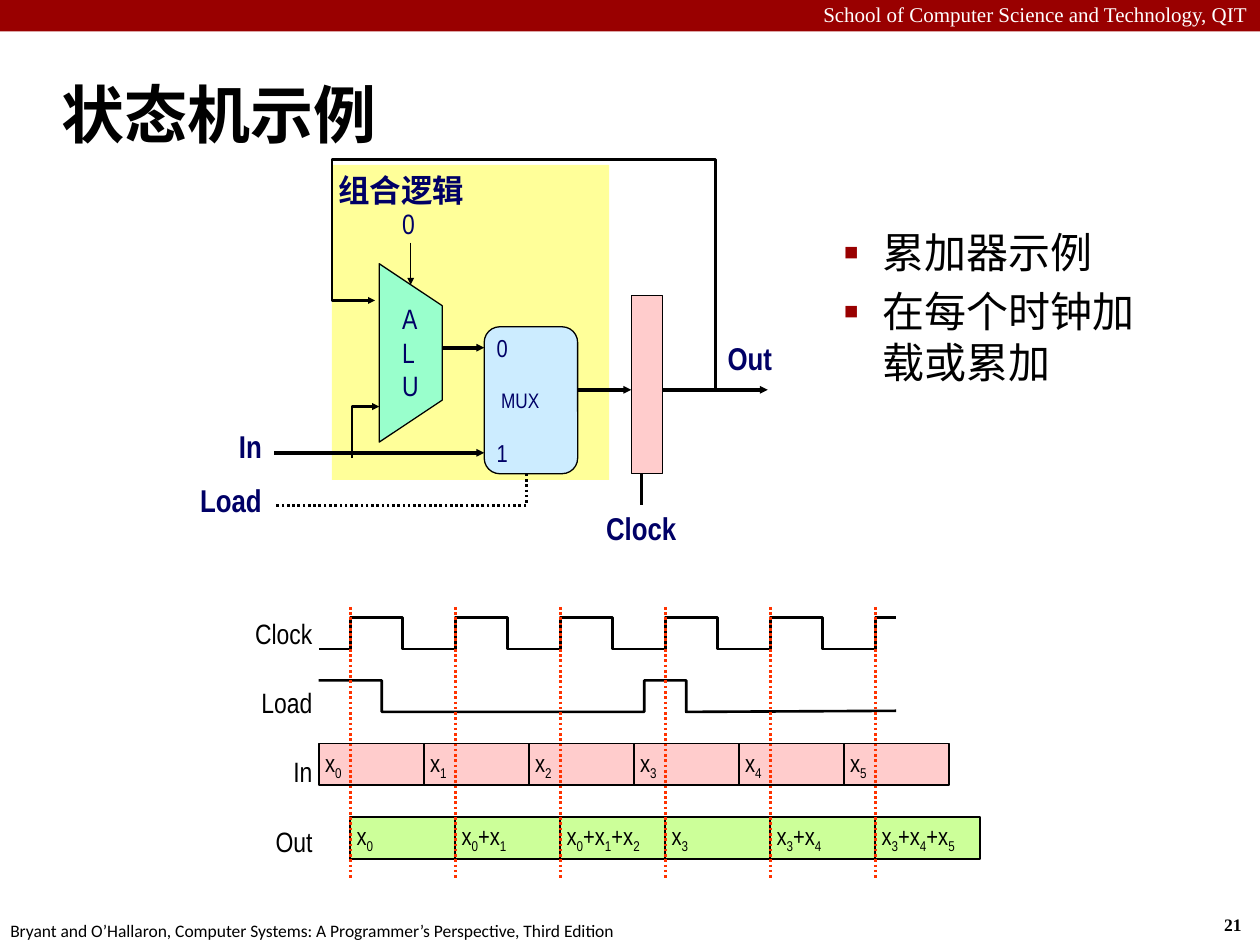
import itertools
from dataclasses import dataclass

import pptx
import pptx.util
from pptx.dml.color import RGBColor
from pptx.enum.dml import MSO_LINE
from pptx.enum.shapes import MSO_CONNECTOR, MSO_SHAPE
from pptx.enum.text import MSO_ANCHOR, MSO_AUTO_SIZE, PP_ALIGN
from pptx.oxml import parse_xml
from pptx.oxml.ns import nsdecls

HEX = {"black": "000000", "white": "FFFFFF", "red": "990000", "navy": "000066",
       "yellow": "FFFF99", "mint": "99FFCC", "sky": "CCECFF", "pink": "FFCCCC",
       "lime": "CCFF99", "orange": "FF3300"}
LEFT, RIGHT = PP_ALIGN.LEFT, PP_ALIGN.RIGHT


@dataclass
class Grid:
    """Square grid of twelve steps to the inch."""
    left: float = 0
    top: float = 0

    def spot(self, col: float, row: float) -> tuple:
        return (pptx.util.Inches(self.left + col / 12),
                pptx.util.Inches(self.top + row / 12))

    def area(self, box: tuple) -> tuple:
        return self.spot(*box[:2]) + Grid().spot(*box[2:])


@dataclass
class Style:
    size: float
    color: str = "navy"
    bold: bool = False
    font: str = "Arial Narrow"
    align: PP_ALIGN = LEFT
    wrap: bool = False
    inset: tuple = (0.1, 0.05)
    anchor: MSO_ANCHOR = MSO_ANCHOR.TOP


@dataclass
class Note:
    text: str
    box: tuple
    style: Style


@dataclass
class Block:
    kind: MSO_SHAPE
    box: tuple
    fill: str
    line: float = 0
    text: str = ""
    style: Style | None = None


@dataclass
class Wire:
    spots: list
    width: float = 1.5
    arrow: bool = False
    dots: bool = False
    color: str = "black"
    fill: str = ""


def tint(name: str) -> RGBColor:
    return RGBColor.from_string(HEX[name])


def dress(frame, style: Style) -> None:
    frame.auto_size = MSO_AUTO_SIZE.NONE
    frame.word_wrap = style.wrap
    frame.vertical_anchor = style.anchor
    side, edge = (pptx.util.Inches(part) for part in style.inset)
    frame.margin_left = frame.margin_right = side
    frame.margin_top = frame.margin_bottom = edge
    for para in frame.paragraphs:
        para.alignment = style.align
        for run in para.runs:
            run.font.size = pptx.util.Pt(style.size)
            run.font.name = style.font
            run.font.bold = style.bold
            run.font.color.rgb = tint(style.color)


def write(slide, grid: Grid, note: Note) -> None:
    frame = slide.shapes.add_textbox(*grid.area(note.box)).text_frame
    frame.text = note.text
    dress(frame, note.style)


def place(slide, grid: Grid, block: Block):
    shape = slide.shapes.add_shape(block.kind, *grid.area(block.box))
    shape.shadow.inherit = False
    shape.fill.solid()
    shape.fill.fore_color.rgb = tint(block.fill)
    if block.line:
        shape.line.color.rgb = tint("black")
        shape.line.width = pptx.util.Pt(block.line)
    else:
        shape.line.fill.background()
    if block.text:
        shape.text_frame.text = block.text
        dress(shape.text_frame, block.style)
    return shape


def draw(slide, grid: Grid, wire: Wire) -> None:
    spots = [grid.spot(*spot) for spot in wire.spots]
    if len(spots) == 2:
        shape = slide.shapes.add_connector(MSO_CONNECTOR.STRAIGHT, *spots[0], *spots[1])
        shape._element.spPr.append(parse_xml(f"<a:effectLst {nsdecls('a')}/>"))
    else:
        pen = slide.shapes.build_freeform(*spots[0])
        pen.add_line_segments(spots[1:], close=bool(wire.fill))
        shape = pen.convert_to_shape()
        shape.shadow.inherit = False
        if wire.fill:
            shape.fill.solid()
            shape.fill.fore_color.rgb = tint(wire.fill)
        else:
            shape.fill.background()
    shape.line.color.rgb = tint(wire.color)
    shape.line.width = pptx.util.Pt(wire.width)
    if wire.dots:
        shape.line.dash_style = MSO_LINE.ROUND_DOT
    if wire.arrow:
        shape.line._get_or_add_ln().append(parse_xml(
            f'<a:tailEnd {nsdecls("a")} type="triangle" w="sm" len="sm"/>'))


def lower(para) -> None:
    """Turn the digits of a paragraph into subscripts."""
    parts = ["".join(part) for _, part in itertools.groupby(para.text, str.isdigit)]
    para.text = ""
    for part in parts:
        run = para.add_run()
        run.text = part
        if part.isdigit():
            run.font._element.set("baseline", "-25000")


def indent(para, left: float, first: float):
    props = para._p.get_or_add_pPr()
    props.set("marL", str(pptx.util.Inches(left)))
    props.set("indent", str(pptx.util.Inches(first)))
    return props


def move(shape, box: tuple) -> None:
    shape.left, shape.top, shape.width, shape.height = Grid().area(box)


BOLD = Style(18, bold=True)
TAG = Style(18, bold=True, align=RIGHT, wrap=True)
PIN = Style(14, wrap=True)
CELL = Style(14, "black", inset=(0.05, 0.05), anchor=MSO_ANCHOR.MIDDLE)
ROW = Style(16, "black", align=RIGHT, wrap=True, inset=(0.05, 0.05))
RECT = MSO_SHAPE.RECTANGLE

FRAME = [
    Block(RECT, (0, 0, 120, 3), "red"),
    Note("School of Computer Science and Technology, QIT", (0, -0.4, 120, 3.6),
         Style(12, "white", font="Times New Roman", align=RIGHT, wrap=True)),
    Note("21", (115.4, 86.5, 4.4, 3.2), Style(10, "black", True, "Times New Roman")),
    Note("Bryant and O’Hallaron, Computer Systems: A Programmer’s Perspective, Third Edition",
         (-0.2, 87, 61, 3.2), Style(10, "black", font="Calibri")),
]

CIRCUIT = [
    Block(RECT, (31.5, 15.6, 26.4, 30), "yellow", 0, "组合逻辑",
          Style(18, bold=True, inset=(0.05, 0.05))),
    Wire([(63, 37), (73, 37)], 2.25, True),
    Wire([(39, 23), (39, 27)], 0.75, True),
    Wire([(36, 25), (42, 29), (42, 38), (36, 42)], 0.75, fill="mint"),
    Note("A\nL\nU", (37, 28, 5, 10.9), Style(16, wrap=True)),
    Wire([(26, 43), (46, 43)], 2.25, True),
    Wire([(42, 33), (46, 33)], 2.25, True),
    Note("0", (37, 19, 3.6, 4.4), Style(16)),
    Wire([(54, 37), (60, 37)], 2.25, True),
    Note("Out", (68, 31.6, 6.7, 4.9), BOLD),
    Wire([(50, 45), (50, 48), (26, 48)], dots=True),
    Block(MSO_SHAPE.ROUNDED_RECTANGLE, (46, 31, 8.9, 14), "sky", 0.75, "MUX",
          Style(12, anchor=MSO_ANCHOR.MIDDLE)),
    Wire([(33.4, 43.5), (33.4, 38.6), (36, 38.6)], arrow=True),
    Note("0", (46, 31, 6, 4.1), PIN),
    Note("1", (46, 41, 6, 4.1), PIN),
    Block(RECT, (60, 28, 3, 17), "pink", 0.75),
    Wire([(61, 45), (61, 48)]),
    Note("Clock", (57, 47.8, 8, 4.9), Style(18, bold=True, inset=(0.05, 0.05))),
    Wire([(63.8, 37), (68, 37), (68, 15.1), (31.5, 15.1), (31.5, 28.5), (35.6, 28.5)],
         arrow=True),
    Note("In", (16, 40, 10, 4.9), TAG),
    Note("Load", (16, 45.1, 10, 4.9), TAG),
]

PULSE = [(-3, 3), (0, 3), (0, 0), (5, 0), (5, 3), (9, 3), (10, 3), (10, 0), (12, 0)]
LOAD = [(-3, 6), (3, 6), (3, 9), (28, 9), (28, 6), (32, 6), (32, 9), (52, 8.9)]
INS = ["x0", "x1", "x2", "x3", "x4", "x5"]
OUTS = ["x0", "x0+x1", "x0+x1+x2", "x3", "x3+x4", "x3+x4+x5"]


def render(slide, grid: Grid, parts: list) -> None:
    tools = {Note: write, Block: place, Wire: draw}
    for part in parts:
        tools[type(part)](slide, grid, part)


def timing(slide, grid: Grid) -> None:
    # Clock and load waves
    for turn in range(5):
        draw(slide, grid, Wire([(col + 10 * turn, row) for col, row in PULSE]))
    draw(slide, grid, Wire(LOAD))
    # Data cells
    for texts, start, row, fill in ((INS, -3, 12, "pink"), (OUTS, 0, 19, "lime")):
        for turn, text in enumerate(texts):
            cell = place(slide, grid, Block(RECT, (start + 10 * turn, row, 10, 4), fill, 1))
            cell.text_frame.text = text
            lower(cell.text_frame.paragraphs[0])
            dress(cell.text_frame, CELL)
    # Row names and clock edges
    for turn, text in enumerate(["Clock", "Load", "In", "Out"]):
        write(slide, grid, Note(text, (-14, -0.7 + 6.6 * turn, 11, 4.1), ROW))
    for col in range(0, 60, 10):
        draw(slide, grid, Wire([(col, -1), (col, 25)], dots=True, color="orange"))


def main() -> None:
    deck = pptx.Presentation()
    deck.slide_width, deck.slide_height = Grid().spot(120, 90)
    slide = deck.slides.add_slide(deck.slide_layouts[1])
    title, body = slide.placeholders

    # Title and list
    move(title, (4.7, 5.8, 115.3, 10))
    title.text_frame.text = "状态机示例"
    dress(title.text_frame, Style(36, "black", True, wrap=True, anchor=MSO_ANCHOR.MIDDLE))
    indent(title.text_frame.paragraphs[0], 0.13, -0.13)
    move(body, (73.1, 21, 39.7, 34.1))
    body.text_frame.text = "累加器示例\n在每个时钟加载或累加"
    dress(body.text_frame, Style(24, "black", font="Calibri", wrap=True))
    for para in body.text_frame.paragraphs:
        para.level = 1
        props = indent(para, 0.81, -0.31)
        for mark in (f'buClr {nsdecls("a")}><a:srgbClr val="{HEX["red"]}"/></a:buClr>',
                     f'buSzPct {nsdecls("a")} val="110000"/>',
                     f'buChar {nsdecls("a")} char="▪"/>'):
            props.append(parse_xml("<a:" + mark))

    # Page frame, circuit and timing chart
    render(slide, Grid(), FRAME)
    render(slide, Grid(0.01, 0.01), CIRCUIT)
    timing(slide, Grid(2.78, 4.9))
    deck.save("out.pptx")


if __name__ == "__main__":
    main()
